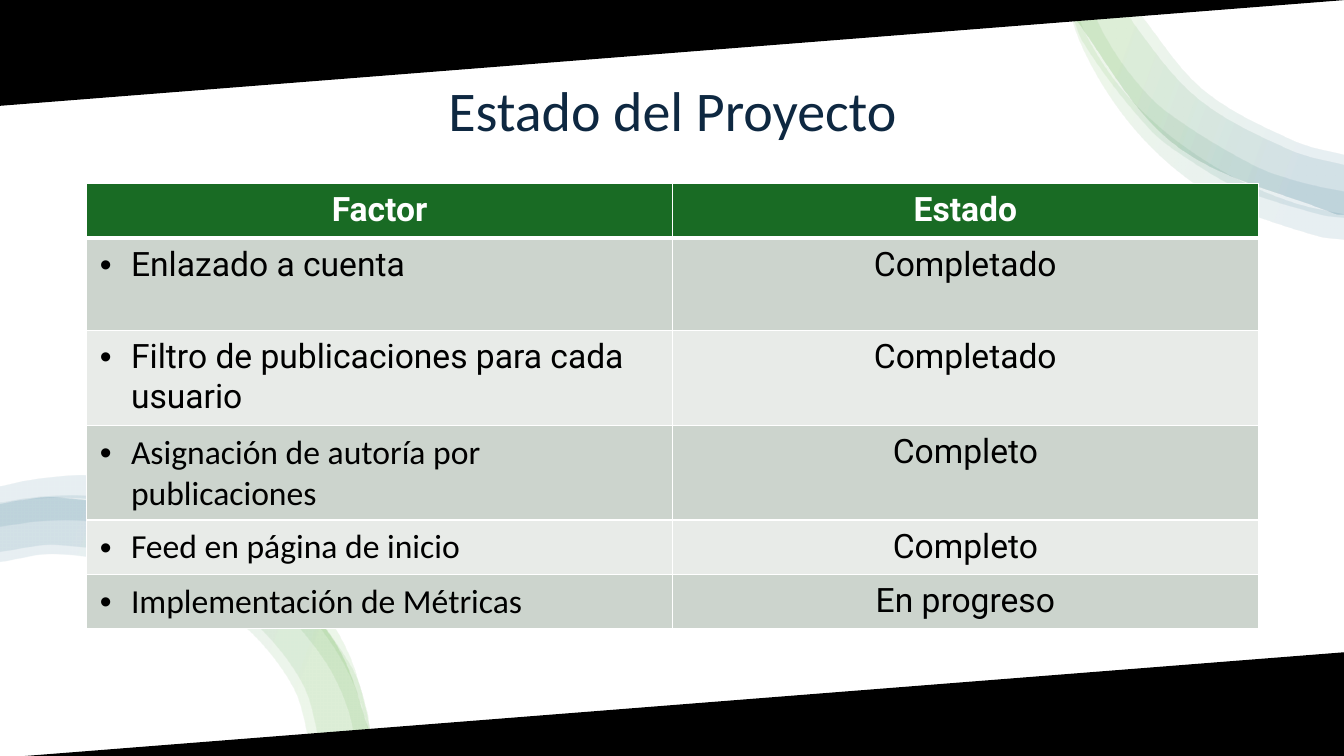
from lxml import etree
from pptx import Presentation
from pptx.dml.color import RGBColor
from pptx.enum.shapes import MSO_SHAPE
from pptx.enum.text import MSO_ANCHOR, PP_ALIGN
from pptx.oxml.ns import qn
from pptx.util import Pt

PX = 9144
WIDTH, HEIGHT = 1333, 750
RECTANGLE = MSO_SHAPE.RECTANGLE
BOTTOM = MSO_ANCHOR.BOTTOM
CENTER, LEFT = PP_ALIGN.CENTER, PP_ALIGN.LEFT

THEME = {
    "white": "FFFFFF", "black": "000000", "title": "0E2841",
    "header": "196B24", "rows": ("CCD4CD", "E8EBE8"),
    "ribbon": ((16, "4EA72E"), (85, "156082")),
    "ribbon_opacity": 10, "title_size": 40, "table_size": 24,
    "sans": "Calibri", "table_font": "Roboto",
}

TOP_OUTER = [(1061, 0), (1067, 19), (1167, 145), (1323, 212), (1333, 213)]
TOP_RIBBONS = [
    ([(1058, 0), (1071, 41), (1097, 90), (1131, 135), (1173, 174), (1222, 205), (1305, 234), (1333, 238)],
     [(1333, 213), (1285, 202), (1235, 182), (1188, 155), (1145, 122), (1108, 83), (1079, 38), (1064, 0)]),
    (TOP_OUTER, [(1333, 154), (1283, 140), (1195, 91), (1136, 21), (1126, 0)]),
    ([(1060, 0), (1075, 43), (1140, 128), (1183, 161), (1231, 188), (1310, 213), (1333, 216)],
     [(1333, 190), (1291, 181), (1243, 164), (1157, 111), (1122, 75), (1095, 34), (1080, 0)]),
    (TOP_OUTER, [(1333, 164), (1279, 149), (1189, 99), (1126, 26), (1115, 0)]),
]
BOTTOM_OUTER = [(368, 750), (366, 729), (331, 637), (260, 562), (164, 512), (57, 494), (0, 500)]
BOTTOM_RIBBONS = [
    (BOTTOM_OUTER,
     [(0, 558), (57, 550), (149, 567), (232, 613), (289, 680), (309, 750)]),
    (BOTTOM_OUTER,
     [(0, 548), (57, 541), (153, 558), (238, 606), (298, 676), (319, 750)]),
    ([(368, 750), (363, 706), (346, 659), (285, 578), (244, 547), (198, 522), (97, 494), (44, 493), (0, 499)],
     [(0, 523), (46, 517), (94, 518), (142, 528), (187, 544), (268, 595), (301, 629), (328, 667),
      (346, 710), (352, 750)]),
    ([(369, 750), (369, 736), (350, 661), (326, 614), (293, 572), (253, 535), (207, 506), (100, 474),
      (43, 475), (0, 483)],
     [(0, 500), (45, 495), (97, 497), (147, 509), (195, 527), (250, 560), (280, 584), (315, 621),
      (343, 664), (361, 711), (366, 750)]),
]
WEDGES = [
    [(1335, 648), (0, 753), (1344, 760)],
    [(-1, 104), (1334, -1), (-10, -8)],
]

COLUMN_WIDTH = 581
ROW_HEIGHTS = (53, 92, 53, 53, 53, 53)
TABLE_HEIGHT = 437
HEADINGS = ("Factor", "Estado")
FACTORS = [
    ("Enlazado a cuenta", "Completado", "table_font"),
    ("Filtro de publicaciones para cada usuario", "Completado", "table_font"),
    ("Asignación de autoría por publicaciones", "Completo", "sans"),
    ("Feed en página de inicio", "Completo", "sans"),
    ("Implementación de Métricas", "En progreso", "sans"),
]


def scaled(*lengths):
    return [round(length * PX) for length in lengths]


def apply(target, values):
    for name, value in values.items():
        setattr(target, name, value)


def paint(fill, color):
    fill.solid()
    fill.fore_color.rgb = RGBColor.from_string(color)


def add_node(parent, tag, **attributes):
    return etree.SubElement(parent, qn(tag), {key: str(value) for key, value in attributes.items()})


def write(frame, text, color, font, align=CENTER, line_spacing=None):
    para = frame.paragraphs[0]
    apply(para, {"alignment": align, "line_spacing": line_spacing})
    span = para.add_run()
    span.text = text
    apply(span.font, font)
    span.font.color.rgb = RGBColor.from_string(color)
    return para


def curve_handles(points):
    padded = [points[0], *points, points[-1]]
    handles = []
    for before, start, end, after in zip(padded, padded[1:], padded[2:], padded[3:]):
        reach = (((end[0] - start[0]) ** 2 + (end[1] - start[1]) ** 2) ** 0.5) / 3
        for anchor, tail, head, sign in ((start, before, end, 1), (end, start, after, -1)):
            across, down = head[0] - tail[0], head[1] - tail[1]
            length = (across ** 2 + down ** 2) ** 0.5
            handles.append((anchor[0] + sign * reach * across / length,
                            anchor[1] + sign * reach * down / length))
        handles.append(end)
    return handles


def add_outline(page, points):
    corners = [scaled(*point) for point in points]
    builder = page.shapes.build_freeform(*corners[0], scale=1.0)
    builder.add_line_segments(corners[1:], close=True)
    shape = builder.convert_to_shape()
    shape.shadow.inherit = False
    return shape


def bend(lines):
    for first, second, third in zip(lines[::3], lines[1::3], lines[2::3]):
        curve = etree.Element(qn("a:cubicBezTo"))
        first.addprevious(curve)
        for line in (first, second, third):
            curve.append(line[0])
            line.getparent().remove(line)


def add_ribbon(page, outer, inner, angle):
    edge, back = curve_handles(outer), curve_handles(inner)
    shape = add_outline(page, [outer[0], *edge, inner[0], *back])
    properties = shape._element.spPr
    lines = list(properties.iter(qn("a:lnTo")))
    bend(lines[:len(edge)])
    bend(lines[len(edge) + 1:len(edge) + 1 + len(back)])
    shape.line.fill.background()
    gradient = etree.Element(qn("a:gradFill"), rotWithShape="1")
    stops = add_node(gradient, "a:gsLst")
    for position, color in THEME["ribbon"]:
        stop = add_node(stops, "a:gs", pos=position * 1000)
        tint = add_node(stop, "a:srgbClr", val=color)
        add_node(tint, "a:alpha", val=THEME["ribbon_opacity"] * 1000)
    add_node(gradient, "a:lin", ang=angle * 60000, scaled=0)
    properties.find(qn("a:custGeom")).addnext(gradient)


def add_wedge(page, points):
    shape = add_outline(page, points)
    paint(shape.fill, THEME["black"])
    paint(shape.line.fill, THEME["black"])
    shape.line.width = Pt(1.5)


def add_backdrop(page):
    shape = page.shapes.add_shape(RECTANGLE, *scaled(0, 0, WIDTH, HEIGHT))
    shape.shadow.inherit = False
    paint(shape.fill, THEME["white"])
    shape.line.fill.background()


def add_title(page, text):
    box = page.shapes.add_textbox(*scaled(85, 62, 1164, 85))
    apply(box.text_frame, {"word_wrap": True, "vertical_anchor": BOTTOM})
    font = {"name": THEME["sans"], "size": Pt(THEME["title_size"])}
    write(box.text_frame, text, THEME["title"], font, line_spacing=0.9)


def add_bullet(para):
    properties = para._p.get_or_add_pPr()
    apply_indent = {"marL": 31 * PX, "indent": -31 * PX}
    for name, value in apply_indent.items():
        properties.set(name, str(value))
    add_node(properties, "a:buFont", typeface="Arial")
    add_node(properties, "a:buChar", char="•")


def add_borders(cell, bottom):
    properties = cell._tc.get_or_add_tcPr()
    widths = {"a:lnL": 1, "a:lnR": 1, "a:lnT": 1, "a:lnB": bottom}
    for index, (tag, width) in enumerate(widths.items()):
        border = etree.Element(qn(tag), w=str(Pt(width)))
        add_node(add_node(border, "a:solidFill"), "a:srgbClr", val=THEME["white"])
        properties.insert(index, border)


def fill_cell(cell, text, font_key, row, column):
    heading = row == 0
    side, edge = scaled(13, 7)
    apply(cell, {"margin_left": side, "margin_right": side, "margin_top": edge, "margin_bottom": edge})
    paint(cell.fill, THEME["header"] if heading else THEME["rows"][(row - 1) % 2])
    add_borders(cell, 3 if heading else 1)
    bulleted = not heading and column == 0
    font = {"name": THEME[font_key], "size": Pt(THEME["table_size"]), "bold": heading}
    para = write(cell.text_frame, text, THEME["white" if heading else "black"], font,
                 LEFT if bulleted else CENTER)
    if bulleted:
        add_bullet(para)


def add_status_table(page):
    rows = [(*HEADINGS, "table_font"), *FACTORS]
    area = scaled(86, 182, COLUMN_WIDTH * 2, TABLE_HEIGHT)
    holder = page.shapes.add_table(len(rows), len(HEADINGS), *area)
    table = holder.table
    for column in table.columns:
        column.width = COLUMN_WIDTH * PX
    for row, (factor, status, factor_font) in enumerate(rows):
        table.rows[row].height = ROW_HEIGHTS[row] * PX
        fill_cell(table.cell(row, 0), factor, factor_font, row, 0)
        fill_cell(table.cell(row, 1), status, "table_font", row, 1)
    holder.height = TABLE_HEIGHT * PX


def main():
    deck = Presentation()
    deck.slide_width, deck.slide_height = scaled(WIDTH, HEIGHT)
    page = deck.slides.add_slide(deck.slide_layouts[6])
    add_backdrop(page)
    add_title(page, "Estado del Proyecto")
    for ribbons, angle in ((TOP_RIBBONS, 20), (BOTTOM_RIBBONS, 200)):
        for outer, inner in ribbons:
            add_ribbon(page, outer, inner, angle)
    for wedge in WEDGES:
        add_wedge(page, wedge)
    add_status_table(page)
    deck.save("out.pptx")


if __name__ == "__main__":
    main()
